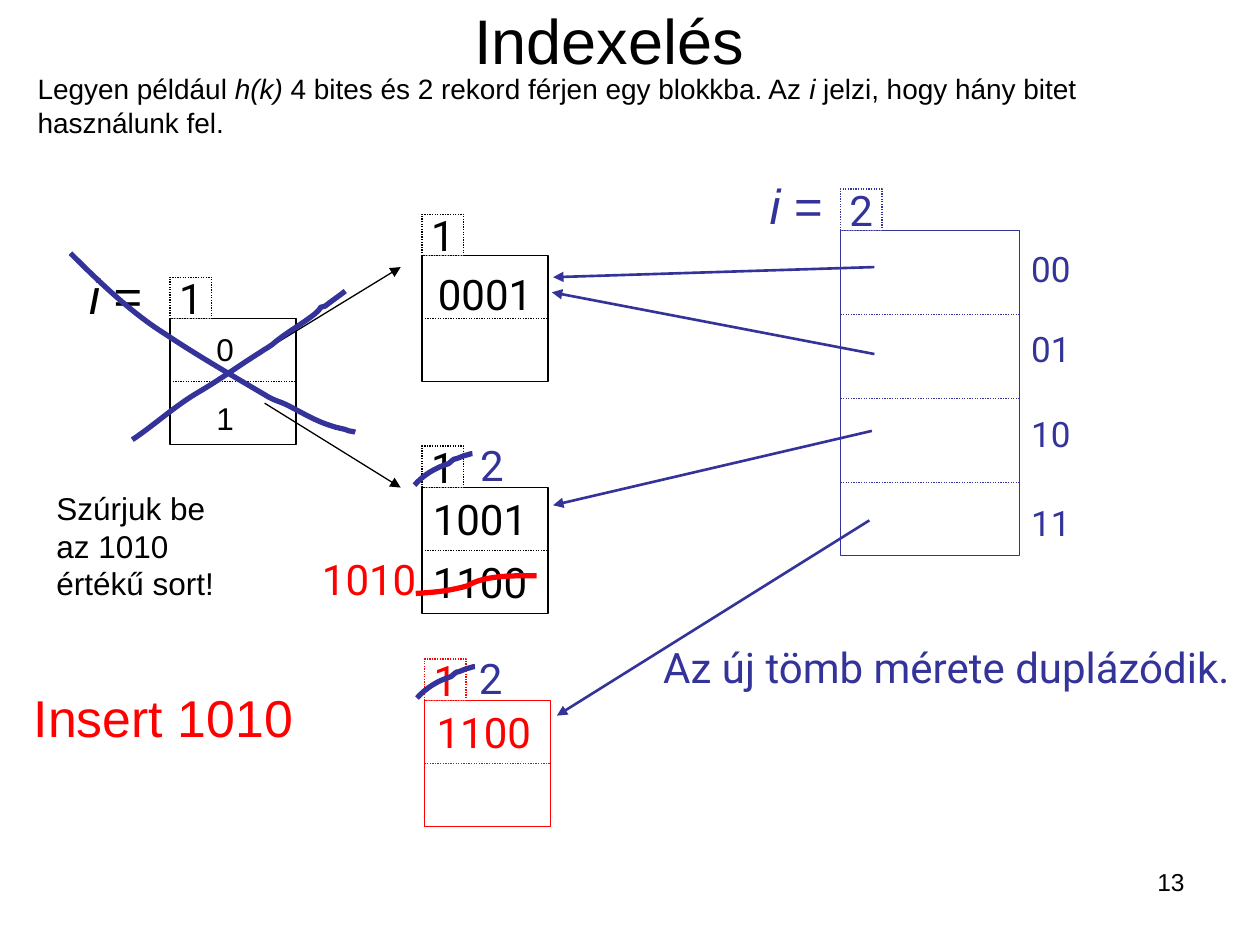
from dataclasses import dataclass
from pptx import Presentation
from pptx.dml.color import RGBColor
from pptx.enum.dml import MSO_LINE
from pptx.enum.shapes import MSO_CONNECTOR, MSO_SHAPE
from pptx.enum.text import MSO_ANCHOR, PP_ALIGN
from pptx.oxml.ns import qn
from pptx.oxml.xmlchemy import OxmlElement
from pptx.util import Inches, Pt


@dataclass(frozen=True)
class Theme:
    """Colours, fonts, type sizes and line widths of the slide."""
    black: RGBColor = RGBColor(0, 0, 0)
    white: RGBColor = RGBColor(255, 255, 255)
    red: RGBColor = RGBColor(255, 0, 0)
    blue: RGBColor = RGBColor(0x33, 0x33, 0x99)
    sans: str = "Arial"
    code: str = "Roboto"
    title: float = 36
    insert: float = 29.6
    depth: float = 28
    record: float = 24
    prefix: float = 20
    note: float = 18
    intro: float = 16
    number: float = 14
    thin: float = 0.75
    medium: float = 1.5
    thick: float = 3


@dataclass(frozen=True)
class Box:
    """A rectangle in inches."""
    left: float
    top: float
    width: float
    height: float

    def inside(self, left, top, width, height):
        """Return a box offset from this one's top left corner."""
        return Box(self.left + left, self.top + top, width, height)

    def lengths(self):
        """Return the four sides as slide lengths."""
        return [Inches(side) for side in (self.left, self.top, self.width, self.height)]


THEME = Theme()
BADGE = 0.33
CENTER = PP_ALIGN.CENTER


def write(paragraph, runs, size, color, font, align=PP_ALIGN.LEFT):
    """Fill a paragraph from (text, italic) runs."""
    paragraph.alignment = align
    for text, italic in runs:
        run = paragraph.add_run()
        run.text = text
        run.font.size, run.font.name = Pt(size), font
        run.font.italic = italic
        run.font.color.rgb = color


def add_text(slide, box, runs, size, color=THEME.black, font=THEME.sans,
             align=PP_ALIGN.LEFT, anchor=MSO_ANCHOR.TOP, wrap=True):
    """Place a text box and return its frame."""
    frame = slide.shapes.add_textbox(*box.lengths()).text_frame
    frame.word_wrap, frame.vertical_anchor = wrap, anchor
    runs = [(runs, False)] if isinstance(runs, str) else runs
    write(frame.paragraphs[0], runs, size, color, font, align)
    return frame


def add_record(slide, box, text, color):
    """Place a centred key value."""
    add_text(slide, box, text, THEME.record, color, THEME.code, CENTER, MSO_ANCHOR.MIDDLE, False)


def add_rectangle(slide, box, color, dash=None):
    """Place a white outlined rectangle."""
    shape = slide.shapes.add_shape(MSO_SHAPE.RECTANGLE, *box.lengths())
    shape.shadow.inherit = False
    shape.fill.solid()
    shape.fill.fore_color.rgb = THEME.white
    shape.line.color.rgb, shape.line.width = color, Pt(THEME.thin)
    shape.line.dash_style = dash
    return shape


def add_line(slide, start, end, color, width=THEME.thin, arrow=False):
    """Draw an arrow, or a dotted divider."""
    points = [Inches(value) for value in (*start, *end)]
    line = slide.shapes.add_connector(MSO_CONNECTOR.STRAIGHT, *points)
    line.line.color.rgb, line.line.width = color, Pt(width)
    if arrow:
        tail = OxmlElement("a:tailEnd")
        tail.set("type", "triangle")
        line.line._get_or_add_ln().append(tail)
    else:
        line.line.dash_style = MSO_LINE.ROUND_DOT
    line._element.spPr.append(OxmlElement("a:effectLst"))
    return line


def add_stroke(slide, box, points, color):
    """Draw a hand stroke through chained cubic curves, relative to the box."""
    start, *rest = [(Inches(box.left + x), Inches(box.top + y)) for x, y in points]
    builder = slide.shapes.build_freeform(*start)
    builder.add_line_segments(rest, close=False)
    shape = builder.convert_to_shape()
    segments = list(shape._element.iter(qn("a:lnTo")))
    for first in range(0, len(segments), 3):
        curve = OxmlElement("a:cubicBezTo")
        segments[first].addprevious(curve)
        for segment in segments[first:first + 3]:
            curve.append(segment[0])
            segment.getparent().remove(segment)
    shape.shadow.inherit = False
    shape.fill.background()
    shape.line.color.rgb, shape.line.width = color, Pt(THEME.thick)


def add_badge(slide, box, text, color):
    """Place the dotted bit counter on top of a block."""
    shape = add_rectangle(slide, box.inside(0, -BADGE, BADGE, BADGE), color, MSO_LINE.ROUND_DOT)
    frame = shape.text_frame
    frame.word_wrap, frame.vertical_anchor = False, MSO_ANCHOR.MIDDLE
    write(frame.paragraphs[0], [(text, False)], THEME.record, color, THEME.code, CENTER)


def add_block(slide, box, color=THEME.black, records=()):
    """Place a two-row block with its counter and its (left, top, text) records."""
    rectangle = add_rectangle(slide, box, color)
    add_badge(slide, box, "1", color)
    middle = box.top + box.height / 2
    divider = add_line(slide, (box.left, middle), (box.left + box.width, middle), color)
    divider.begin_connect(rectangle, 1)
    divider.end_connect(rectangle, 3)
    for left, top, text in records:
        add_record(slide, box.inside(left, top, 0.96, 0.5), text, color)


def add_depth(slide, box, color):
    """Place the label of the number of bits in use."""
    add_text(slide, box, [("i", True), (" =", False)], THEME.depth, color)


def add_new_counter(slide, box, label_left):
    """Strike out a block's counter and write the new one beside it."""
    stroke = [(-0.06, -0.02), (0.01, -0.1), (0.11, -0.16), (0.21, -0.19), (0.28, -0.25),
              (0.23, -0.21), (0.3, -0.24), (0.33, -0.25), (0.34, -0.26), (0.36, -0.26),
              (0.38, -0.27), (0.4, -0.27), (0.4, -0.27)]
    add_stroke(slide, box, stroke, THEME.blue)
    add_record(slide, box.inside(label_left, -0.43, 0.39, 0.5), "2", THEME.blue)


def add_old_index(slide, box):
    """Place the first index with its label and two arrows."""
    add_depth(slide, box.inside(-0.74, -0.47, 0.86, 0.62), THEME.black)
    add_block(slide, box)
    for row, (text, start, end) in enumerate((("0", 0.25, -0.41), ("1", 0.67, 1.34))):
        add_text(slide, box.inside(0.27, 0.04 + 0.55 * row, 0.34, 0.4), text, THEME.note, wrap=False)
        add_line(slide, (box.left + 0.75, box.top + start), (box.left + 1.83, box.top + end),
                 THEME.black, arrow=True)


def add_cross(slide, box):
    """Cross out the first index."""
    rising = [(-0.3, 0.96), (-0.12, 0.84), (0.04, 0.69), (0.23, 0.58), (0.4, 0.48), (0.55, 0.37),
              (0.71, 0.27), (0.75, 0.24), (0.8, 0.22), (0.84, 0.18), (0.94, 0.1), (1.05, 0.04),
              (1.15, -0.04), (1.23, -0.11), (1.16, -0.08), (1.23, -0.1), (1.28, -0.14),
              (1.34, -0.18), (1.39, -0.22)]
    falling = [(-0.79, -0.52), (-0.56, -0.29), (-0.31, -0.05), (-0.04, 0.12), (0.23, 0.3),
               (0.51, 0.46), (0.78, 0.62), (0.83, 0.65), (0.88, 0.66), (0.92, 0.68), (1.04, 0.74),
               (1.15, 0.81), (1.28, 0.85), (1.33, 0.87), (1.38, 0.87), (1.42, 0.89),
               (1.44, 0.89), (1.47, 0.9), (1.47, 0.9)]
    for points in (rising, falling):
        add_stroke(slide, box, points, THEME.blue)


def add_new_index(slide, box):
    """Place the doubled index with its prefixes and arrows."""
    blue = THEME.blue
    add_rectangle(slide, box, blue)
    add_badge(slide, box, "2", blue)
    add_depth(slide, box.inside(-0.66, -0.49, 0.86, 0.62), blue)
    for row in (1, 2, 3):
        height = box.top + row * 2 / 3
        add_line(slide, (box.left, height), (box.left + box.width, height), blue)
    frame = add_text(slide, box.inside(1.41, 0.08, 0.52, 2.46), "00", THEME.prefix, blue,
                     THEME.code, CENTER, MSO_ANCHOR.MIDDLE, False)
    for text, spacing in (("01", 1.4), ("10", 1.5), ("11", 1.6)):
        paragraph = frame.add_paragraph()
        paragraph.line_spacing = spacing
        write(paragraph, [(text, False)], THEME.prefix, blue, THEME.code, CENTER)
    for paragraph in frame.paragraphs:
        paragraph.space_before = Pt(12.5)
    arrows = [((0.27, 0.29), (-2.28, 0.37)), ((0.27, 0.98), (-2.29, 0.49)),
              ((0.25, 1.59), (-2.28, 2.18)), ((0.23, 2.3), (-2.25, 3.85))]
    for ends in arrows:
        start, end = [(box.left + x, box.top + y) for x, y in ends]
        add_line(slide, start, end, blue, THEME.medium, True)


def add_heading(slide, box):
    """Place the title, which ends in a line break, and the introduction."""
    title = slide.shapes.title
    title.left, title.top, title.width, title.height = box.lengths()
    title.text_frame.vertical_anchor = MSO_ANCHOR.MIDDLE
    paragraph = title.text_frame.paragraphs[0]
    write(paragraph, [("Indexelés", False)], THEME.title, THEME.black, THEME.sans, CENTER)
    paragraph.add_line_break()
    for parent, tag in ((paragraph._p[-1], "a:rPr"), (paragraph._p, "a:endParaRPr")):
        properties = OxmlElement(tag)
        properties.set("sz", str(THEME.title * 100))
        parent.append(properties)
    runs = [("Legyen például ", False), ("h(k)", True),
            (" 4 bites és 2 rekord férjen egy blokkba. Az ", False), ("i", True),
            (" jelzi, hogy hány bitet használunk fel.", False)]
    add_text(slide, box.inside(-0.06, 0.2, 9.61, 0.64), runs, THEME.intro)


def main():
    """Build the slide and save it."""
    presentation = Presentation()
    presentation.slide_width, presentation.slide_height = Inches(10), Inches(7.5)
    slide = presentation.slides.add_slide(presentation.slide_layouts[5])
    old_index, split, added = Box(1.35, 2.53, 1, 1), Box(3.35, 3.87, 1, 1), Box(3.37, 5.56, 1, 1)
    add_heading(slide, Box(0.26, 0.32, 9.15, 0.59))
    add_text(slide, Box(7.17, 6.83, 2.33, 0.52), "13", THEME.number, align=PP_ALIGN.RIGHT)
    add_block(slide, Box(3.35, 2.03, 1, 1), records=[(0.02, 0.05, "0001")])
    add_block(slide, split, records=[(-0.02, 0, "1001"), (-0.02, 0.5, "1100")])
    add_old_index(slide, old_index)
    add_text(slide, Box(0.35, 3.83, 1.5, 1), "Szúrjuk be az 1010 értékű sort!", THEME.note)
    add_text(slide, Box(0.17, 5.38, 2.51, 0.62), "Insert 1010", THEME.insert, THEME.red,
             anchor=MSO_ANCHOR.MIDDLE)
    add_block(slide, added, THEME.red, [(-0.01, 0, "1100")])
    add_stroke(slide, split, [(-0.05, 0.84), (0.12, 0.83), (0.21, 0.82), (0.36, 0.78),
                              (0.5, 0.69), (0.76, 0.7), (0.91, 0.7)], THEME.red)
    add_record(slide, split.inside(-0.9, 0.47, 0.96, 0.5), "1010", THEME.red)
    add_record(slide, Box(5.02, 5.04, 4.98, 0.5), "Az új tömb mérete duplázódik.", THEME.blue)
    add_new_index(slide, Box(6.67, 1.83, 1.42, 2.58))
    for block, label_left in ((split, 0.36), (added, 0.33)):
        add_new_counter(slide, block, label_left)
    add_cross(slide, old_index)
    presentation.save("out.pptx")


if __name__ == "__main__":
    main()
